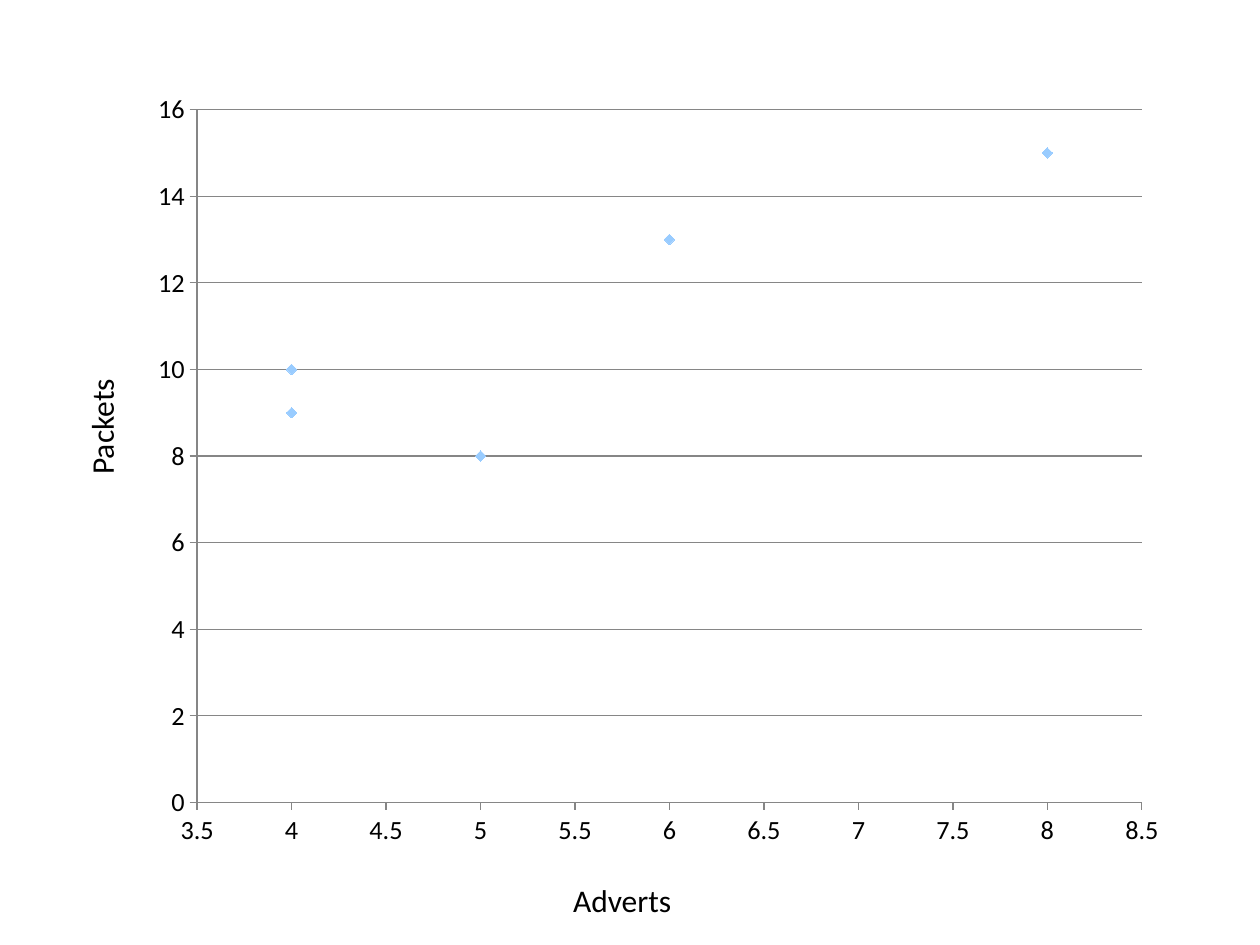
from lxml import etree
from pptx import Presentation
from pptx.chart.data import XyChartData
from pptx.dml.color import RGBColor
from pptx.enum.chart import XL_CHART_TYPE as ChartType, XL_MARKER_STYLE as MarkerStyle
from pptx.enum.chart import XL_TICK_MARK as TickMark
from pptx.enum.text import MSO_AUTO_SIZE as AutoSize
from pptx.oxml.ns import qn
from pptx.util import Inches, Pt

BLACK = RGBColor(0, 0, 0)
GRAY = RGBColor(0x86, 0x86, 0x86)
LIGHT_BLUE = RGBColor(0x99, 0xCC, 0xFF)
FONT = "Calibri"
POINTS = [(5, 8), (4, 9), (4, 10), (6, 13), (8, 15)]
PLOT_LAYOUT = {"layoutTarget": "inner", "xMode": "edge", "yMode": "edge",
               "x": 0.06, "y": 0.04, "w": 0.91, "h": 0.88}
HORIZONTAL_SCALE = {"minimum_scale": 3.5, "maximum_scale": 8.5, "major_unit": 0.5,
                    "has_major_gridlines": False}
VERTICAL_SCALE = {"minimum_scale": 0, "maximum_scale": 16, "major_unit": 2,
                  "has_major_gridlines": True}


def set_values(target, values):
    for name, value in values.items():
        setattr(target, name, value)


def format_font(font, size):
    set_values(font, {"name": FONT, "size": Pt(size), "bold": False})
    font.color.rgb = BLACK


def format_line(line):
    line.color.rgb = GRAY
    line.width = Pt(0.75)


def format_axis(axis, scale):
    set_values(axis, {**scale, "major_tick_mark": TickMark.OUTSIDE,
                      "minor_tick_mark": TickMark.NONE, "has_title": False})
    set_values(axis.tick_labels, {"number_format": "General",
                                  "number_format_is_linked": False})
    format_font(axis.tick_labels.font, 15)
    format_line(axis.format.line)
    if axis.has_major_gridlines:
        format_line(axis.major_gridlines.format.line)


def place_plot(chart):
    plot_area = chart.element.find(".//" + qn("c:plotArea"))
    layout = plot_area.find(qn("c:layout"))
    if layout is None:
        layout = etree.Element(qn("c:layout"))
        plot_area.insert(0, layout)
    manual_layout = etree.SubElement(layout, qn("c:manualLayout"))
    for name, value in PLOT_LAYOUT.items():
        etree.SubElement(manual_layout, qn("c:" + name)).set("val", str(value))


def add_scatter(slide):
    data = XyChartData()
    data_series = data.add_series("Series 1")
    for x, y in POINTS:
        data_series.add_data_point(x, y)
    chart = slide.shapes.add_chart(ChartType.XY_SCATTER, Inches(1.07), Inches(0.62),
                                   Inches(8.24), Inches(6.25), data).chart
    set_values(chart, {"has_title": False, "has_legend": False})
    format_font(chart.font, 10)
    chart.plots[0].vary_by_categories = False
    series = chart.plots[0].series[0]
    series.smooth = False
    series.format.line.fill.background()
    set_values(series.marker, {"style": MarkerStyle.DIAMOND, "size": 6})
    series.marker.format.fill.solid()
    series.marker.format.fill.fore_color.rgb = LIGHT_BLUE
    series.marker.format.line.fill.background()
    format_axis(chart.category_axis, HORIZONTAL_SCALE)
    format_axis(chart.value_axis, VERTICAL_SCALE)
    place_plot(chart)


def add_axis_label(slide, text, left, top, rotation=0):
    shape = slide.shapes.add_textbox(Inches(left), Inches(top), Inches(0.99), Inches(0.4))
    shape.rotation = rotation
    set_values(shape.text_frame, {"text": text, "word_wrap": False,
                                  "auto_size": AutoSize.SHAPE_TO_FIT_TEXT})
    format_font(shape.text_frame.paragraphs[0].runs[0].font, 18)


def main():
    presentation = Presentation()
    set_values(presentation, {"slide_width": Inches(10), "slide_height": Inches(7.5)})
    slide = presentation.slides.add_slide(presentation.slide_layouts[6])
    add_scatter(slide)
    add_axis_label(slide, "Adverts", 4.45, 6.94)
    add_axis_label(slide, "Packets", 0.31, 3.17, rotation=270)
    presentation.save("out.pptx")


if __name__ == "__main__":
    main()
